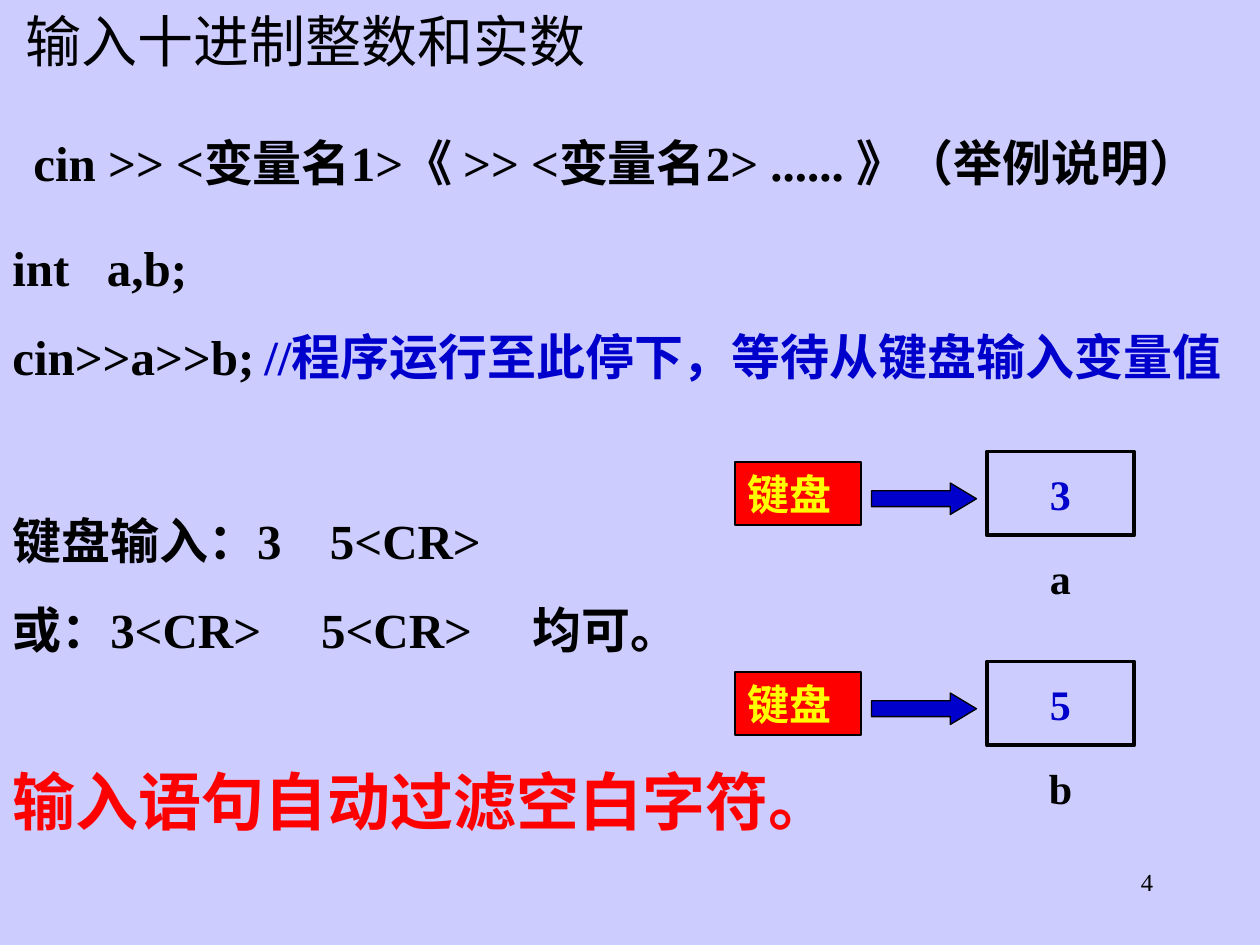
from dataclasses import dataclass

from lxml.etree import SubElement
from pptx import Presentation
from pptx.dml.color import RGBColor
from pptx.enum.shapes import MSO_SHAPE as Shape
from pptx.enum.text import MSO_ANCHOR as Anchor, PP_ALIGN as Align
from pptx.oxml.ns import qn
from pptx.util import Inches, Pt

UNIT = Inches(1) // 12  # the grid has 120 columns and 90 rows
COLUMNS, ROWS = 120, 90


@dataclass(frozen=True)
class Theme:
    background: str = "CCCCFF"
    ink: str = "000000"
    blue: str = "0000CC"
    red: str = "FF0000"
    yellow: str = "FFFF00"
    body_font: str = "Times New Roman"
    title_font: str = "Arial"
    number_size: float = 14
    label_size: float = 24
    body_size: float = 28
    title_size: float = 32
    closing_size: float = 36
    thin: float = 0.75
    thick: float = 2.25


THEME = Theme()


def color(value):
    return RGBColor.from_string(value)


def grid(*cells):
    return [round(cell * UNIT) for cell in cells]


def write(shape, paragraphs, size=THEME.body_size, ink=THEME.ink, bold=True,
          font=THEME.body_font, align=Align.LEFT, anchor=Anchor.TOP,
          indent=0.1, gap=17.5, tabs=()):
    """Each paragraph is a list of (text, colour or None) runs."""
    frame = shape.text_frame
    frame.word_wrap = True
    frame.vertical_anchor = anchor
    frame.margin_left = Inches(indent)
    for index, runs in enumerate(paragraphs):
        paragraph = frame.add_paragraph() if index else frame.paragraphs[0]
        paragraph.alignment = align
        if index:
            paragraph.space_before = Pt(gap)
        if tabs:
            stops = SubElement(paragraph._p.get_or_add_pPr(), qn("a:tabLst"))
            for stop in tabs[index]:
                SubElement(stops, qn("a:tab"), pos=str(Inches(stop)), algn="l")
        for text, run_ink in runs:
            run = paragraph.add_run()
            run.text = text
            run.font.name = font
            run.font.size = Pt(size)
            run.font.bold = bold
            run.font.color.rgb = color(run_ink or ink)


def add_text(shapes, box, *paragraphs, **text_format):
    write(shapes.add_textbox(*grid(*box)), paragraphs, **text_format)


def add_block(shapes, kind, box, fill=None, line=THEME.thin):
    shape = shapes.add_shape(kind, *grid(*box))
    shape.shadow.inherit = False
    if fill:
        shape.fill.solid()
        shape.fill.fore_color.rgb = color(fill)
    else:
        shape.fill.background()
    shape.line.color.rgb = color(THEME.ink)
    shape.line.width = Pt(line)
    return shape


def add_heading(slide, left, top, width):
    add_text(slide.shapes, (left, top, width, 7.7), [("输入十进制整数和实数", None)],
             size=THEME.title_size, font=THEME.title_font, bold=False,
             align=Align.JUSTIFY, indent=0.2)


def add_explanation(slide, left, top, width):
    shapes = slide.shapes
    # Syntax of the input statement
    add_text(shapes, (left + 2, top, width - 2, 12.5),
             [("cin >> <变量名1>《 >> <变量名2> ...... 》（举例说明）", None)],
             align=Align.JUSTIFY)
    # Code sample
    add_text(shapes, (left, top + 10, width, 15.4),
             [("int\ta,b;", None)],
             [("cin>>a>>b;\t", None), ("//程序运行至此停下，等待从键盘输入变量值", THEME.blue)],
             tabs=[[0.75], [2]])
    # Accepted keyboard input
    add_text(shapes, (left, top + 36, 69.5, 15.4),
             [("键盘输入：3\t5<CR>", None)],
             [("或：3<CR>\t5<CR>\t均可。", None)],
             tabs=[[2.52], [2.45, 4.13]])
    # Closing remark
    add_text(shapes, (left, top + 60, width - 2, 8.4),
             [("输入语句自动过滤空白字符。", None)],
             size=THEME.closing_size, ink=THEME.red)


def add_input_flow(slide, left, top, value, name):
    shapes = slide.shapes
    # Variable cell with its name below
    variable = shapes.add_group_shape().shapes
    add_block(variable, Shape.RECTANGLE, (left + 24, top, 14, 8), line=THEME.thick)
    centred = dict(size=THEME.label_size, align=Align.CENTER)
    add_text(variable, (left + 25, top + 9, 12, 6), [(name, None)], **centred)
    add_text(shapes, (left + 25, top + 1, 12, 6), [(value, THEME.blue)], **centred)
    # Keyboard
    keyboard = add_block(shapes, Shape.RECTANGLE, (left, top + 1, 12, 6), THEME.red)
    write(keyboard, [[("键盘", None)]], size=THEME.label_size, ink=THEME.yellow,
          anchor=Anchor.MIDDLE)
    # Arrow from keyboard to variable
    arrow = add_block(shapes, Shape.RIGHT_ARROW, (left + 13, top + 3, 10, 3), THEME.blue)
    arrow.adjustments[1] = 0.83


def add_page_number(slide, left, top, width):
    add_text(slide.shapes, (left, top, width, 6), [("4", None)],
             size=THEME.number_size, bold=False, align=Align.RIGHT)


def main():
    presentation = Presentation()
    presentation.slide_width, presentation.slide_height = grid(COLUMNS, ROWS)
    slide = presentation.slides.add_slide(presentation.slide_layouts[6])
    slide.background.fill.solid()
    slide.background.fill.fore_color.rgb = color(THEME.background)

    add_heading(slide, 0, 0, 100)
    add_explanation(slide, 0, 12, COLUMNS)
    for row, (value, name) in enumerate([("3", "a"), ("5", "b")]):
        add_input_flow(slide, 70, 43 + 20 * row, value, name)
    add_page_number(slide, 86, 82, 25)
    presentation.save("out.pptx")


if __name__ == "__main__":
    main()
